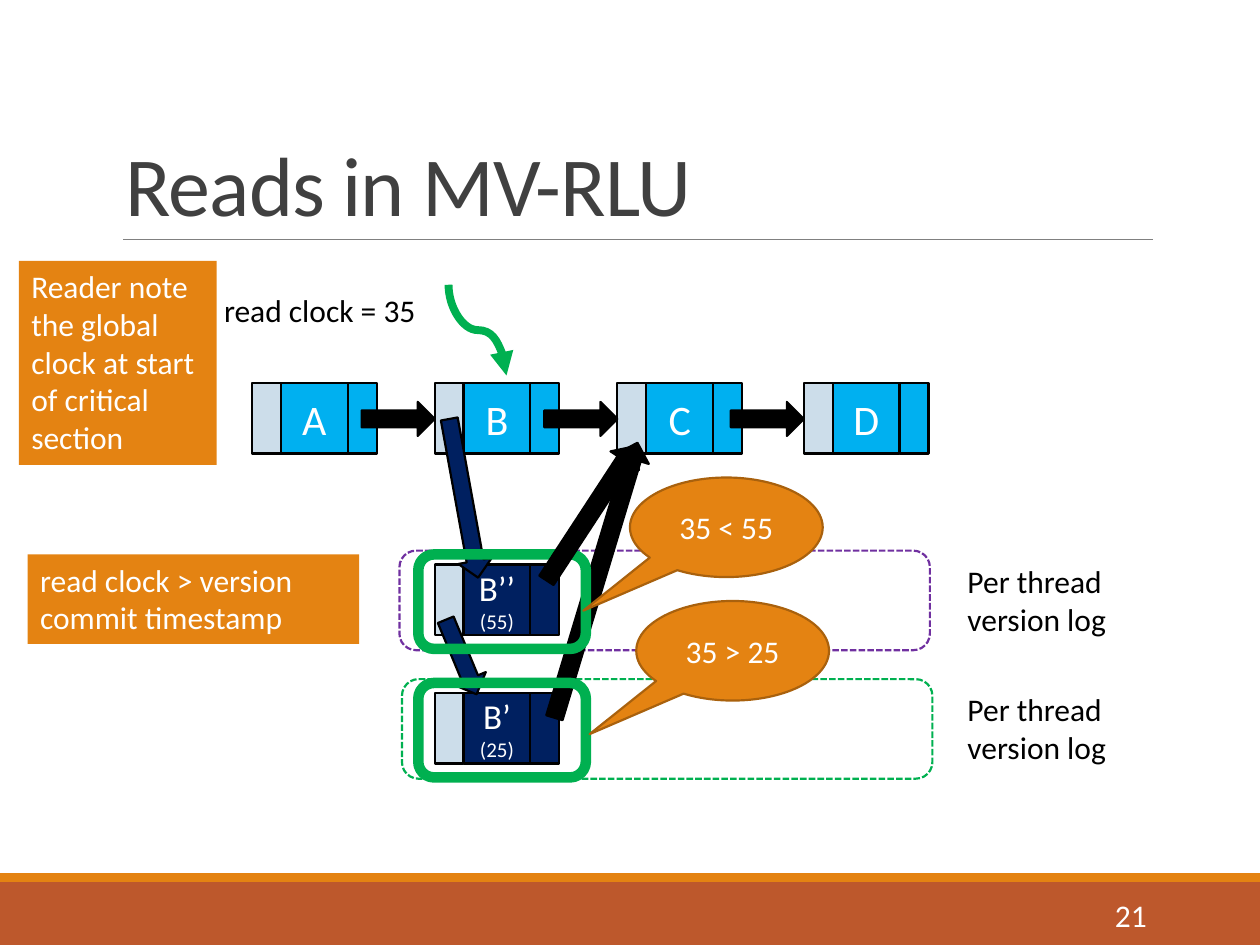
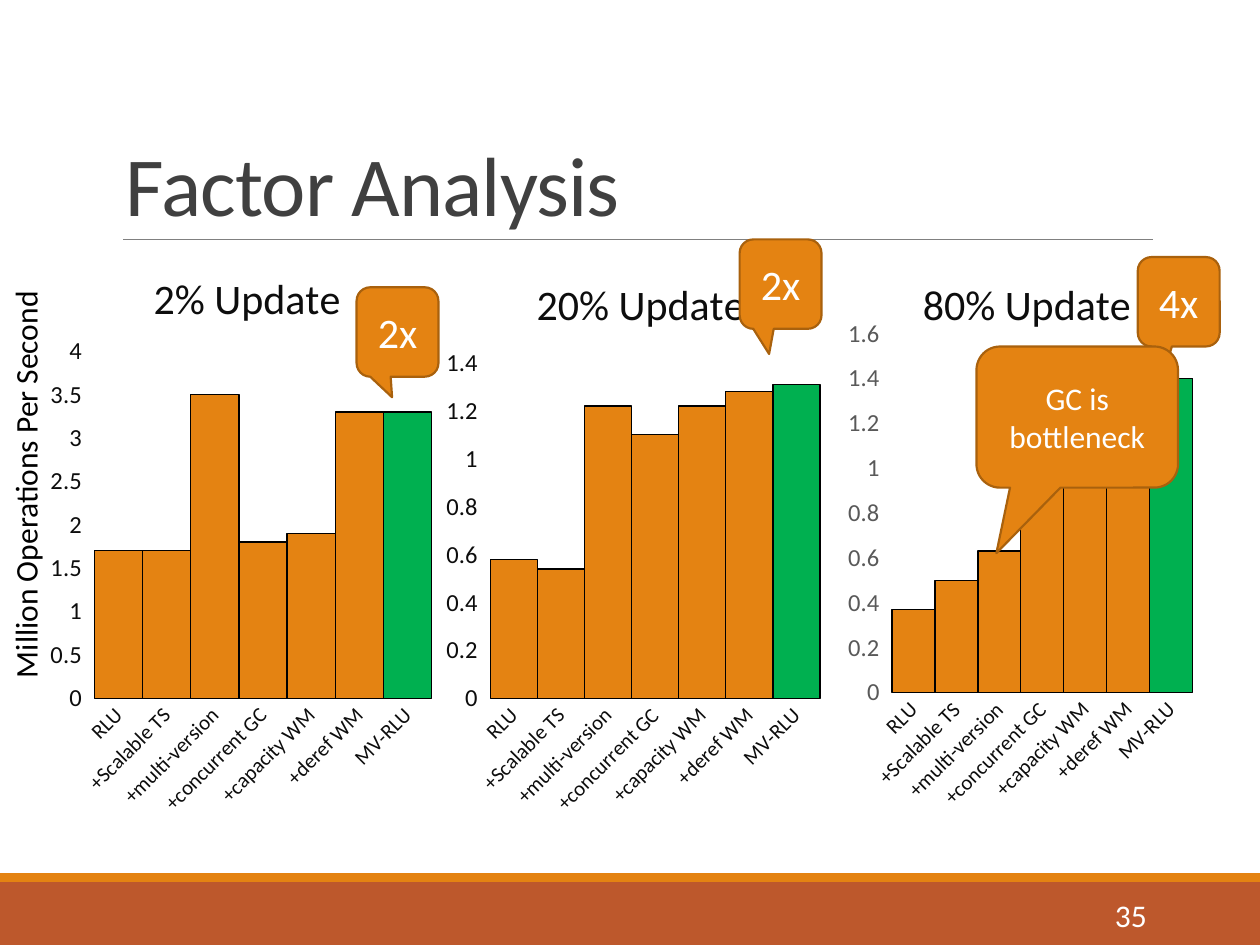
"""Build two slides on MV-RLU: how reads pick a version, and a factor analysis."""
from lxml import etree
from pptx import Presentation
from pptx import util as u
from pptx.chart import data
from pptx.dml import color
from pptx.enum import chart as charts, dml, shapes, text
from pptx.oxml import ns

COLORS = {
    "black": "000000", "white": "FFFFFF", "title": "404040", "rule": "808080",
    "orange": "E48312", "rust": "BD582C", "brown": "A9610D", "green": "00B050",
    "purple": "7030A0", "sky": "00B0F0", "navy": "002060", "pale": "CCDDEA",
    "axis": "D9D9D9", "ink": "0D0D0D", "gray": "595959",
}
RGB = {name: color.RGBColor.from_string(code) for name, code in COLORS.items()}
FONT = "Calibri"
KIND = shapes.MSO_SHAPE
LEFT, CENTER, RIGHT = text.PP_ALIGN.LEFT, text.PP_ALIGN.CENTER, text.PP_ALIGN.RIGHT
TOP, MIDDLE, BOTTOM = text.MSO_ANCHOR.TOP, text.MSO_ANCHOR.MIDDLE, text.MSO_ANCHOR.BOTTOM

deck = Presentation()
deck.slide_width, deck.slide_height = u.Inches(10), u.Inches(7.5)
CELL = deck.slide_width / 100


def place(page, kind, at, fill=None, line=None, weight=1.25, turn=0, adjust=()):
    """Put a shape, or a text box when kind is None, on the 100 by 75 grid."""
    area = [round(cells * CELL) for cells in at]
    if kind is None:
        box = page.shapes.add_textbox(*area)
    else:
        box = page.shapes.add_shape(kind, *area)
        box.shadow.inherit = False
        for index, value in enumerate(adjust):
            box.adjustments[index] = value
        if fill:
            box.fill.solid()
            box.fill.fore_color.rgb = RGB[fill]
        else:
            box.fill.background()
        if line:
            box.line.color.rgb = RGB[line]
            box.line.width = u.Pt(weight)
        else:
            box.line.fill.background()
    box.rotation = turn
    return box


def write(box, lines, ink="white", align=CENTER, anchor=MIDDLE):
    """Fill a box with (words, size) lines and return the spans."""
    frame = box.text_frame
    frame.word_wrap = True
    frame.vertical_anchor = anchor
    spans = []
    for index, (words, size) in enumerate(lines):
        para = frame.add_paragraph() if index else frame.paragraphs[0]
        para.alignment = align
        span = para.add_run()
        span.text = words
        span.font.name, span.font.size = FONT, u.Pt(size)
        span.font.color.rgb = RGB[ink]
        spans.append(span)
    return spans


pages = []
for title, number in (("Reads in MV-RLU", "21"), ("Factor Analysis", "35")):
    page = deck.slides.add_slide(deck.slide_layouts[6])
    place(page, KIND.RECTANGLE, (0, 70, 100, 5), "rust")
    place(page, KIND.RECTANGLE, (0, 69.3, 100, 0.7), "orange")
    rule = page.shapes.add_connector(
        shapes.MSO_CONNECTOR.STRAIGHT, *[round(c * CELL) for c in (9.8, 19, 91.5, 19)])
    rule.line.color.rgb, rule.line.width = RGB["rule"], u.Pt(0.5)
    etree.SubElement(rule._element.spPr, ns.qn("a:effectLst"))
    box = place(page, None, (9, 3.1, 82.5, 15.9))
    span = write(box, [(title, 48)], "title", LEFT, BOTTOM)[0]
    span._r.get_or_add_rPr().set("spc", "-50")
    box.text_frame.paragraphs[0].line_spacing = 0.85
    write(place(page, None, (81.2, 70.6, 10.8, 4)), [(number, 18)], align=RIGHT)
    pages.append(page)
reads, factors = pages

HEAD, BODY, NODE_HEIGHT = 2.3, 5.3, 5.6
LIST_TOP, FIRST_LOG, LOG_STEP = 30.4, 44.8, 10.2
B_LEFT = 34.5
versions = [("B’’", "(55)", "purple", 31.7), ("B’", "(25)", "green", 31.9)]

nodes = [(left, LIST_TOP, "sky", [(name, 24)])
         for name, left in zip("ABCD", (20, B_LEFT, 49, 63.8))]
for row, (name, stamp, tint, left) in enumerate(versions):
    top = FIRST_LOG + row * LOG_STEP
    log = place(reads, KIND.FLOWCHART_ALTERNATE_PROCESS, (left, top - 1.1, 42.1, 7.9), line=tint)
    log.line.dash_style = dml.MSO_LINE.SQUARE_DOT
    label = place(reads, None, (75.8, top - 0.7, 14.5, 7.1))
    write(label, [("Per thread version log", 18)], "black", LEFT, TOP)
    nodes.append((B_LEFT, top, "navy", [(name, 20), (stamp, 12)]))

for left, top, tint, lines in nodes:
    body = left + HEAD
    write(place(reads, KIND.RECTANGLE, (body, top, BODY, NODE_HEIGHT), tint, "black"), lines)
    for part, fill in ((body + BODY, tint), (left, "pale")):
        place(reads, KIND.RECTANGLE, (part, top, HEAD, NODE_HEIGHT), fill, "black")

arrows = [(left - 5.8, 31.9, 5.8, 0, "black") for left, *_ in nodes[1:4]]
arrows += [(33.4, 50.8, 6.4, 67.5, "navy"), (30.4, 38.2, 12.8, 79.7, "navy"),
           (35.9, 44.7, 22.8, 286.8, "black")]
for left, top, length, turn, tint in arrows:
    place(reads, KIND.RIGHT_ARROW, (left, top, length, 2.7), tint, "black", turn=turn)

for row in range(len(versions)):
    place(reads, KIND.FLOWCHART_ALTERNATE_PROCESS,
          (33.2, 44 + row * LOG_STEP, 13.3, 7.5), line="green", weight=6)
for words, left, top in (("35 < 55", 50, 37.9), ("35 > 25", 50.5, 47.7)):
    callout = place(reads, KIND.OVAL_CALLOUT, (left, top, 15.3, 7.9), "orange", "brown",
                    adjust=(-0.742, 0.837))
    write(callout, [(words, 18)])

pointer = reads.shapes.add_connector(
    shapes.MSO_CONNECTOR.CURVE, *[round(c * CELL) for c in (41.5, 23.9, 34.3, 28.5)])
pointer._element.spPr.xfrm.set("rot", str(270 * 60000))
pointer.line.color.rgb, pointer.line.width = RGB["green"], u.Pt(4.5)
etree.SubElement(pointer.line._get_or_add_ln(), ns.qn("a:tailEnd"), type="triangle")
etree.SubElement(pointer._element.spPr, ns.qn("a:effectLst"))

place(reads, KIND.RIGHT_ARROW, (40.5, 39.4, 12.7, 2.7), "black", "black", turn=303.2)
write(place(reads, None, (16.8, 22.6, 17.6, 4)), [("read clock = 35", 18)], "black", LEFT, TOP)
for words, at in (
    ("read clock > version commit timestamp", (2.2, 44, 26.3, 7.1)),
    ("Reader note the global clock at start of critical section", (1.5, 20.7, 15.7, 16.2)),
):
    write(place(reads, KIND.RECTANGLE, at, "orange"), [(words, 18)], "white", LEFT, TOP)

STEPS = ["RLU", "+Scalable TS", "+multi-version", "+concurrent GC",
         "+capacity WM", "+deref WM", "MV-RLU"]
panels = [
    ("2% Update", 3.4, 31.5, (1.7, 1.7, 3.5, 1.8, 1.9, 3.3, 3.3), 4, 0.5, "ink",
     (0.26, 0.04), (0.13, 0.19, 0.85, 0.59)),
    ("20% Update", 34.9, 30.8, (0.58, 0.54, 1.22, 1.1, 1.22, 1.28, 1.31), 1.4, 0.2, "ink",
     (0.23, 0.05), (0.13, 0.21, 0.85, 0.57)),
    ("80% Update", 65.6, 30.6, (0.37, 0.5, 0.63, 1.13, 1.27, 1.25, 1.4), 1.6, 0.2, "gray",
     (0.23, 0.05), (0.17, 0.16, 0.78, 0.61)),
]
for title, left, width, values, peak, unit, ink, title_at, plot_at in panels:
    table = data.CategoryChartData()
    table.categories = STEPS
    table.add_series("Series 1", values)
    area = [round(cells * CELL) for cells in (left, 19, width, 46.7)]
    chart = factors.shapes.add_chart(
        charts.XL_CHART_TYPE.COLUMN_CLUSTERED, *area, table).chart
    chart.has_legend = False
    chart.font.name, chart.font.size = FONT, u.Pt(10)
    chart.font.color.rgb = RGB["black"]

    span = chart.chart_title.text_frame.paragraphs[0].add_run()
    span.text = title
    span.font.name, span.font.size, span.font.bold = FONT, u.Pt(24), False
    span.font.color.rgb = RGB["ink"]

    plot = chart.plots[0]
    plot.gap_width, plot.vary_by_categories = 0, False
    bars = plot.series[0]
    for target, fill in ((bars, "orange"), (bars.points[len(STEPS) - 1], "green")):
        target.format.fill.solid()
        target.format.fill.fore_color.rgb = RGB[fill]
        target.format.line.color.rgb = RGB["black"]
        target.format.line.width = u.Pt(0.75)

    steps, rates = chart.category_axis, chart.value_axis
    for axis, size, tint in ((steps, 12, "ink"), (rates, 14, ink)):
        axis.has_major_gridlines = False
        axis.tick_labels.font.name = FONT
        axis.tick_labels.font.size = u.Pt(size)
        axis.tick_labels.font.color.rgb = RGB[tint]
    steps.major_tick_mark = charts.XL_TICK_MARK.NONE
    steps.format.line.color.rgb, steps.format.line.width = RGB["axis"], u.Pt(0.75)
    steps._element.find(ns.qn("c:txPr")).find(ns.qn("a:bodyPr")).set("rot", str(-45 * 60000))
    rates.major_tick_mark = charts.XL_TICK_MARK.OUTSIDE
    rates.format.line.fill.background()
    rates.minimum_scale, rates.maximum_scale, rates.major_unit = 0, peak, unit
    rates.tick_labels.number_format = "General"
    rates.tick_labels.number_format_is_linked = False

    heading = chart.chart_title._element
    plot_area = chart._chartSpace.chart.plotArea
    for parent, shares in ((heading, title_at), (plot_area, plot_at)):
        for old in parent.findall(ns.qn("c:layout")):
            parent.remove(old)
        layout = etree.Element(ns.qn("c:layout"))
        manual = etree.SubElement(layout, ns.qn("c:manualLayout"))
        if parent is plot_area:
            etree.SubElement(manual, ns.qn("c:layoutTarget"), val="inner")
        for side in ("xMode", "yMode"):
            etree.SubElement(manual, ns.qn(f"c:{side}"), val="edge")
        for side, share in zip("xywh", shares):
            etree.SubElement(manual, ns.qn(f"c:{side}"), val=str(share))
        parent.insert(1 if parent is heading else 0, layout)

unit_label = place(factors, None, (-15.3, 35.5, 34.6, 4), turn=270)
write(unit_label, [("Million Operations Per Second", 18)], "black", LEFT, TOP)
for words, size, at, tip in (
    ("2x", 24, (28.3, 22.8, 6.5, 7.1), (-0.066, 0.73)),
    ("2x", 24, (58.7, 19, 6.5, 7.1), (-0.14, 0.781)),
    ("4x", 24, (90.3, 20.4, 6.5, 7.1), (-0.196, 0.849)),
    ("GC is bottleneck", 18, (77.5, 27.5, 16, 11.2), (-0.401, 0.964)),
):
    callout = place(factors, KIND.ROUNDED_RECTANGULAR_CALLOUT, at, "orange", "brown", adjust=tip)
    write(callout, [(words, size)])

deck.save("out.pptx")
